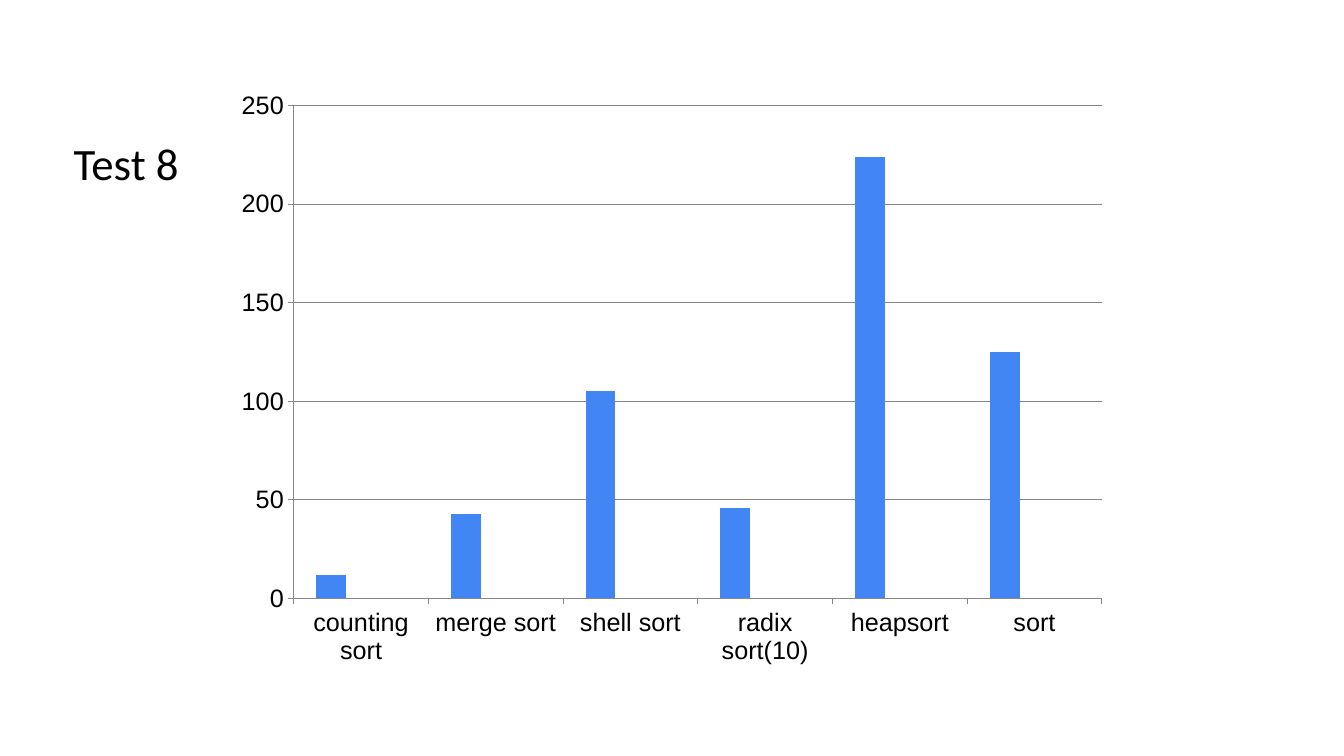
from pptx import Presentation
from pptx import util as u
from pptx.chart.data import CategoryChartData
from pptx.dml.color import RGBColor
from pptx.enum import chart as c, text

RUNTIMES = {
    "counting sort": 12,
    "merge sort": 43,
    "shell sort": 105,
    "radix sort(10)": 46,
    "heapsort": 224,
    "sort": 125,
}
SERIES_COLORS = {"Series 1": "4285F4", "Series 2": "212121", "Series 3": "78909C"}


def color(hex_string):
    return RGBColor.from_string(hex_string)


class SlideBuilder:
    """Holds the slide's style and adds its elements."""

    text_color = "000000"
    line_color = "878787"
    title_font = "Calibri"
    chart_font = "Arial"

    def __init__(self, slide):
        self.slide = slide

    def style_font(self, font, name, size):
        font.name = name
        font.size = u.Pt(size)
        font.bold = False
        font.color.rgb = color(self.text_color)

    def title(self, wording, left, top, width, height):
        title = self.slide.shapes.title
        title.left, title.top = u.Cm(left), u.Cm(top)
        title.width, title.height = u.Cm(width), u.Cm(height)
        frame = title.text_frame
        frame.text = wording
        frame.word_wrap = True
        frame.auto_size = text.MSO_AUTO_SIZE.NONE
        frame.vertical_anchor = text.MSO_ANCHOR.TOP
        paragraph = frame.paragraphs[0]
        paragraph.alignment = text.PP_ALIGN.LEFT
        self.style_font(paragraph.runs[0].font, self.title_font, 32)

    def style_axis(self, axis):
        axis.major_tick_mark = c.XL_TICK_MARK.OUTSIDE
        axis.minor_tick_mark = c.XL_TICK_MARK.NONE
        axis.format.line.color.rgb = color(self.line_color)
        self.style_font(axis.tick_labels.font, self.chart_font, 18)

    def column_chart(self, categories, series, left, top, width, height):
        """Draw columns from a mapping of series names to (values, fill)."""
        data = CategoryChartData()
        data.categories = categories
        for name, (values, _) in series.items():
            data.add_series(name, values)
        chart = self.slide.shapes.add_chart(
            c.XL_CHART_TYPE.COLUMN_CLUSTERED,
            u.Cm(left), u.Cm(top), u.Cm(width), u.Cm(height), data,
        ).chart
        chart.has_title = False
        chart.has_legend = False
        self.style_font(chart.font, self.chart_font, 18)

        plot = chart.plots[0]
        plot.gap_width = 150
        plot.overlap = 0
        plot.vary_by_categories = False
        for columns in plot.series:
            columns.format.fill.solid()
            columns.format.fill.fore_color.rgb = color(series[columns.name][1])

        self.style_axis(chart.category_axis)
        self.style_axis(chart.value_axis)
        chart.value_axis.has_major_gridlines = True
        gridlines = chart.value_axis.major_gridlines
        gridlines.format.line.color.rgb = color(self.line_color)


def main():
    presentation = Presentation()
    presentation.slide_width = u.Cm(33.87)
    presentation.slide_height = u.Cm(19.05)
    title_only = presentation.slide_layouts[5]
    builder = SlideBuilder(presentation.slides.add_slide(title_only))

    empty = [None] * len(RUNTIMES)
    series = {name: (empty, fill) for name, fill in SERIES_COLORS.items()}
    series["Series 1"] = (list(RUNTIMES.values()), SERIES_COLORS["Series 1"])
    builder.column_chart(list(RUNTIMES), series, 5.64, 2, 22.58, 15.06)
    builder.title("Test 8", 1.6, 3.28, 4.95, 2.39)
    presentation.save("out.pptx")


if __name__ == "__main__":
    main()
